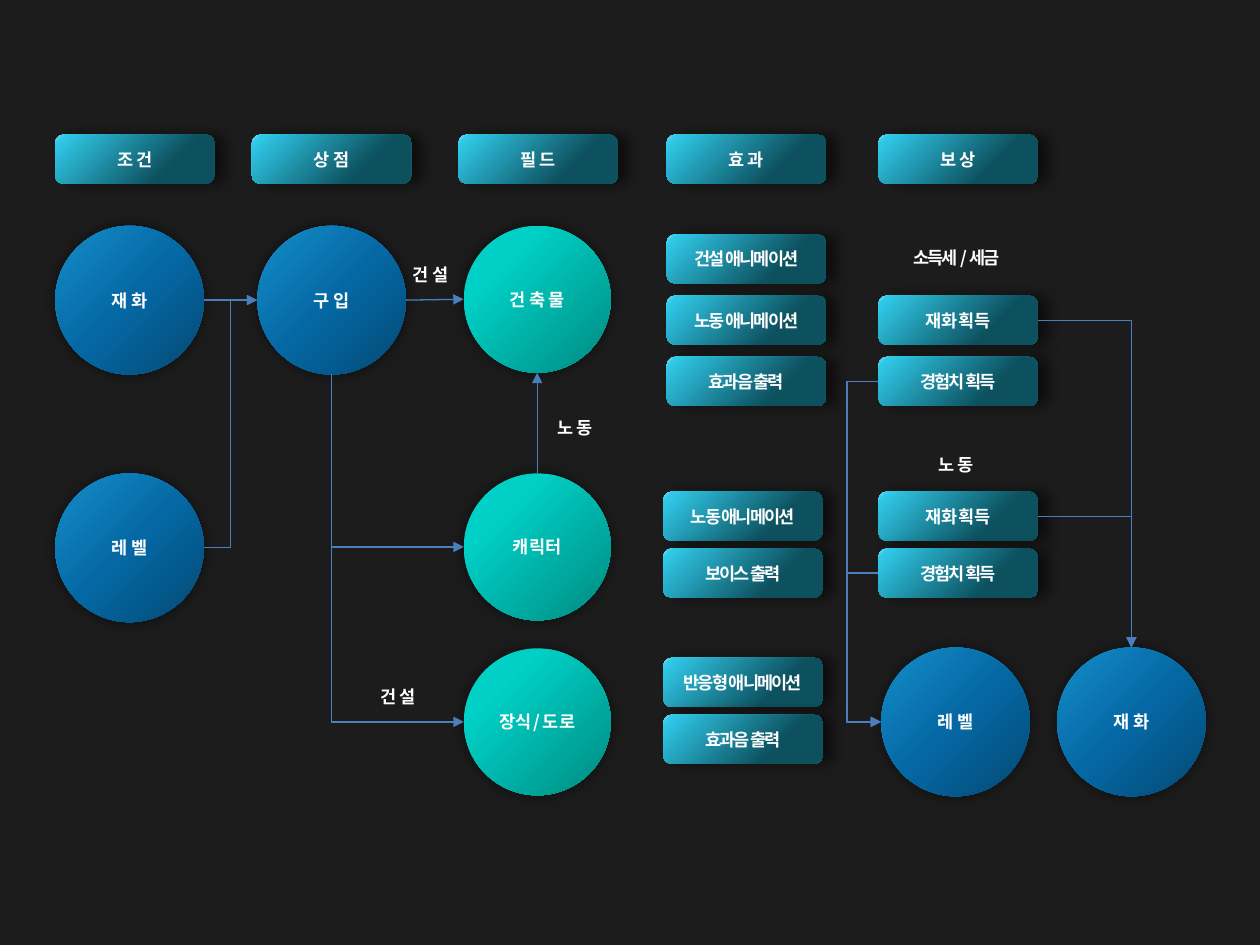
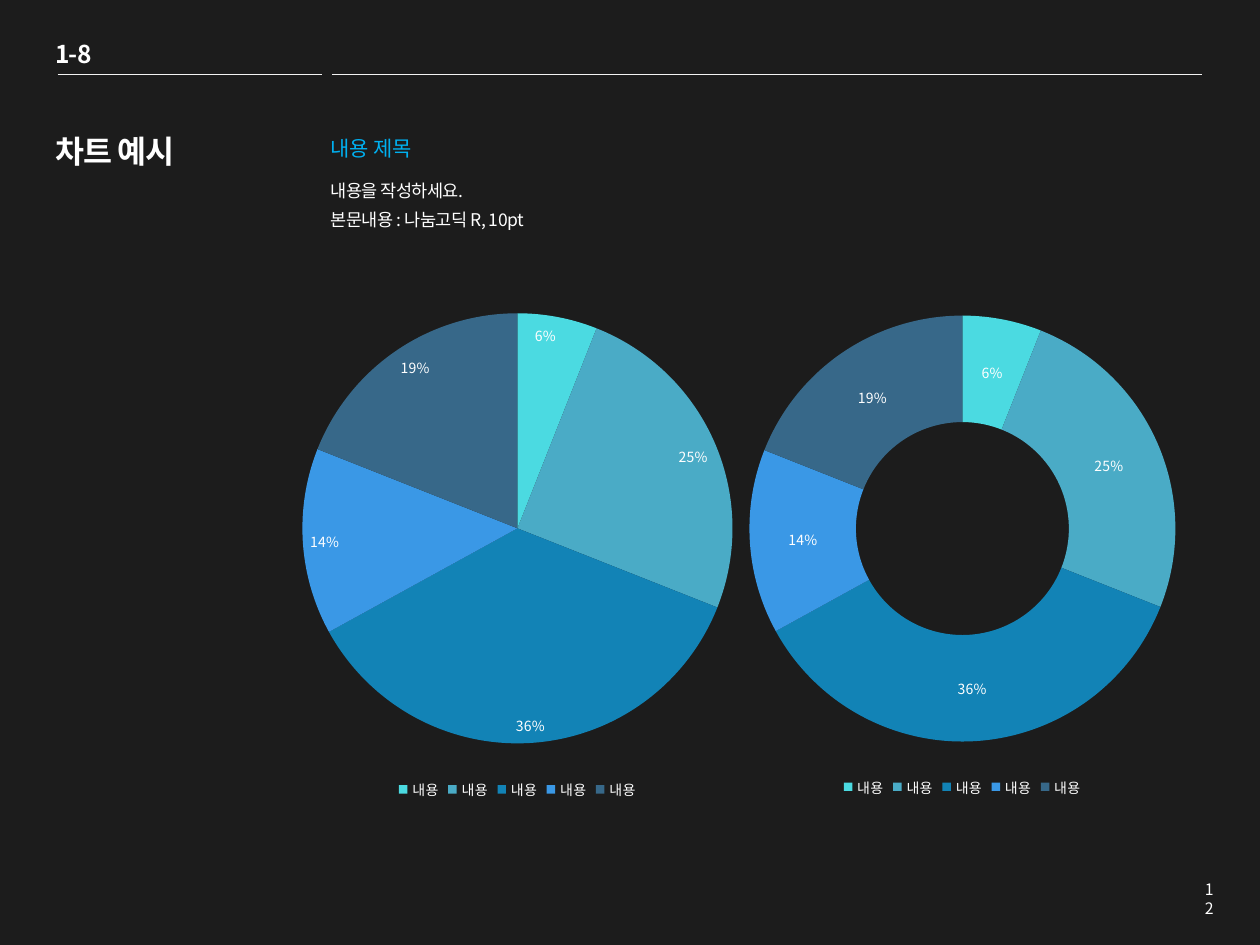
"""Builds a dark two-slide deck: a game economy flow and a pair of share charts."""
from lxml import etree
from pptx import Presentation
from pptx.chart import data as chart_data
from pptx.dml.color import RGBColor
from pptx.enum import chart as charts, shapes, text
from pptx.oxml import ns
from pptx.util import Pt

FONT = "Noto Sans CJK KR"
DARK = RGBColor(0x1C, 0x1C, 0x1C)
WHITE = RGBColor(0xFF, 0xFF, 0xFF)
RULE = RGBColor(0xF2, 0xF2, 0xF2)
ACCENT = RGBColor(0x00, 0xB0, 0xF0)
ARROW = RGBColor(0x4B, 0x7E, 0xBC)
BLACK = RGBColor(0x00, 0x00, 0x00)
SHARE_COLORS = [
    RGBColor(0x4B, 0xDA, 0xE1),
    RGBColor(0x4A, 0xAB, 0xC6),
    RGBColor(0x12, 0x83, 0xB6),
    RGBColor(0x3A, 0x98, 0xE6),
    RGBColor(0x37, 0x68, 0x89),
]
BLUE_STOPS = [
    (0, RGBColor(0x03, 0x49, 0x73)),
    (50, RGBColor(0x05, 0x68, 0xA4)),
    (100, RGBColor(0x14, 0x8D, 0xCA)),
]
GREEN_STOPS = [(0, RGBColor(0x00, 0x8A, 0x80)), (74, RGBColor(0x00, 0xD0, 0xC6))]
TAG_STOPS = [
    (1, RGBColor(0x78, 0xDC, 0xF0)),
    (5, RGBColor(0x30, 0xC9, 0xE8)),
    (70, RGBColor(0x0D, 0x51, 0x5F)),
]
TAG_WIDTH, TAG_HEIGHT = 91, 28
BLUE_SIZE, GREEN_SIZE = 85, 84
TIGHT, LOOSE = -1, -0.2
SIDES = ["top", "left", "bottom", "right"]
CENTER = text.PP_ALIGN.CENTER


def child(parent, tag, **attributes):
    element = etree.SubElement(parent, ns.qn(tag))
    for key, value in attributes.items():
        element.set(key, str(value))
    return element


class Deck:
    def __init__(self):
        self.deck = Presentation()
        self.deck.slide_width, self.deck.slide_height = Pt(720), Pt(540)
        self.slide = None

    def new_slide(self):
        self.slide = self.deck.slides.add_slide(self.deck.slide_layouts[6])
        self.slide.background.fill.solid()
        self.slide.background.fill.fore_color.rgb = DARK

    def style(self, font, size, color=WHITE, bold=False, spacing=0):
        font.size, font.bold, font.name = Pt(size), bold, FONT
        font.color.rgb = color
        child(font._rPr, "a:ea", typeface=FONT)
        if spacing:
            font._rPr.set("spc", str(round(spacing * 100)))

    def set_lines(self, frame, lines, size, align=None, line_spacing=None, **look):
        for index, line in enumerate(lines):
            paragraph = frame.add_paragraph() if index else frame.paragraphs[0]
            paragraph.text = line
            paragraph.alignment = align
            paragraph.line_spacing = line_spacing
            self.style(paragraph.font, size, **look)

    def text(self, x, y, width, height, *lines, size=10, wrap=True, **look):
        box = self.slide.shapes.add_textbox(Pt(x), Pt(y), Pt(width), Pt(height))
        box.text_frame.word_wrap = wrap
        self.set_lines(box.text_frame, lines, size, **look)

    def caption(self, center_x, center_y, label, spacing=LOOSE):
        self.text(center_x - 40, center_y - 9.5, 80, 19, label,
                  align=CENTER, bold=True, spacing=spacing)

    def node(self, kind, x, y, width, height, label, stops, spacing, shadow_gap):
        node = self.slide.shapes.add_shape(kind, Pt(x), Pt(y), Pt(width), Pt(height))
        node.line.fill.background()
        node.shadow.inherit = False
        properties = node.element.spPr
        shadow = child(properties.find(ns.qn("a:effectLst")), "a:outerShdw",
                       blurRad=Pt(8), dist=Pt(shadow_gap), dir=0,
                       algn="ctr", rotWithShape=0)
        child(child(shadow, "a:srgbClr", val=BLACK), "a:alpha", val=53000)
        gradient = etree.Element(ns.qn("a:gradFill"), rotWithShape="1")
        stop_list = child(gradient, "a:gsLst")
        for position, color in stops:
            child(child(stop_list, "a:gs", pos=position * 1000), "a:srgbClr", val=color)
        if kind == shapes.MSO_SHAPE.OVAL:
            child(child(gradient, "a:path", path="circle"),
                  "a:fillToRect", l=100000, t=100000)
        else:
            child(gradient, "a:lin", ang=45 * 60000, scaled=0)
        properties.find(ns.qn("a:prstGeom")).addnext(gradient)
        frame = node.text_frame
        frame.margin_left = frame.margin_right = frame.margin_top = frame.margin_bottom = 0
        frame.vertical_anchor = text.MSO_ANCHOR.MIDDLE
        self.set_lines(frame, [label], 10, CENTER, bold=True, spacing=spacing)
        return node

    def tag(self, x, y, label, spacing=TIGHT):
        return self.node(shapes.MSO_SHAPE.ROUNDED_RECTANGLE, x, y, TAG_WIDTH, TAG_HEIGHT,
                         label, TAG_STOPS, spacing, 6)

    def circle(self, x, y, size, label, stops=BLUE_STOPS, spacing=LOOSE):
        return self.node(shapes.MSO_SHAPE.OVAL, x, y, size, size, label, stops, spacing, 0)

    def line(self, begin, end, color, width, kind=shapes.MSO_CONNECTOR.STRAIGHT):
        line = self.slide.shapes.add_connector(kind, *begin, *end)
        line.line.color.rgb = color
        line.line.width = Pt(width)
        child(line.element.spPr, "a:effectLst")
        return line

    def site(self, node, side):
        across = {"left": 0, "right": node.width}.get(side, node.width // 2)
        down = {"top": 0, "bottom": node.height}.get(side, node.height // 2)
        step = 2 if node.auto_shape_type == shapes.MSO_SHAPE.OVAL else 1
        return (node.left + across, node.top + down), SIDES.index(side) * step

    def arrow(self, source, source_side, target, target_side, bend=None, offset=None):
        begin, begin_site = self.site(source, source_side)
        end, end_site = self.site(target, target_side)
        elbow, straight = shapes.MSO_CONNECTOR.ELBOW, shapes.MSO_CONNECTOR.STRAIGHT
        arrow = self.line(begin, end, ARROW, 0.75, elbow if bend else straight)
        properties = arrow.element.spPr
        child(properties.find(ns.qn("a:ln")), "a:tailEnd", type="triangle")
        links = arrow.element.find(".//" + ns.qn("p:cNvCxnSpPr"))
        child(links, "a:stCxn", id=source.shape_id, idx=begin_site)
        child(links, "a:endCxn", id=target.shape_id, idx=end_site)
        outline = properties.find(ns.qn("a:prstGeom"))
        if bend == "corner":
            outline.set("prst", "bentConnector2")
            if source_side == "bottom":
                width, height = arrow.width, arrow.height
                arrow.left += (width - height) // 2
                arrow.top += (height - width) // 2
                arrow.width, arrow.height = height, width
                arrow.rotation = 270
                properties.find(ns.qn("a:xfrm")).set("flipH", "1")
        if offset:
            share = round(Pt(offset) / arrow.width * 100000)
            child(outline.find(ns.qn("a:avLst")), "a:gd", name="adj1", fmla=f"val {share}")

    def chart(self, kind, x, y, width, height, categories, values, label_position=None):
        shares = chart_data.CategoryChartData()
        shares.categories = categories
        shares.add_series("Series 1", values)
        chart = self.slide.shapes.add_chart(
            kind, Pt(x), Pt(y), Pt(width), Pt(height), shares).chart
        chart.has_title = False
        self.style(chart.font, 18, BLACK)
        chart.has_legend = True
        chart.legend.position = charts.XL_LEGEND_POSITION.BOTTOM
        chart.legend.include_in_layout = False
        self.style(chart.legend.font, 8)
        plot = chart.plots[0]
        plot.vary_by_categories = True
        plot.has_data_labels = True
        labels = plot.data_labels
        labels.show_percentage, labels.show_value = True, False
        labels.number_format, labels.number_format_is_linked = "0%", False
        self.style(labels.font, 8)
        if label_position is not None:
            labels.position = label_position
        for index, color in enumerate(SHARE_COLORS):
            fill = plot.series[0].points[index].format.fill
            fill.solid()
            fill.fore_color.rgb = color
        area = chart.element.find(".//" + ns.qn("c:plotArea"))
        layout = area.find(ns.qn("c:layout"))
        if layout is None:
            layout = etree.Element(ns.qn("c:layout"))
            area.insert(0, layout)
        manual = child(layout, "c:manualLayout")
        for name, value in [("layoutTarget", "inner"), ("xMode", "edge"), ("yMode", "edge"),
                            ("x", 0.16), ("y", 0.03), ("w", 0.68), ("h", 0.85)]:
            child(manual, "c:" + name, val=value)


def build_flow(deck):
    deck.new_slide()
    headings = [(31.5, "조 건"), (144, "상 점"), (262, "필 드"), (381, "효 과"), (502, "보 상")]
    for x, heading in headings:
        deck.tag(x, 77, heading, LOOSE)

    money = deck.circle(31.5, 129, BLUE_SIZE, "재 화")
    level = deck.circle(31.5, 270.5, BLUE_SIZE, "레 벨")
    purchase = deck.circle(147, 129, BLUE_SIZE, "구 입")
    building = deck.circle(265, 129, GREEN_SIZE, "건 축 물", GREEN_STOPS)
    character = deck.circle(265, 270.5, GREEN_SIZE, "캐 릭 터", GREEN_STOPS, TIGHT)
    decoration = deck.circle(265, 370.5, GREEN_SIZE, "장 식 / 도 로", GREEN_STOPS, TIGHT)
    level_gain = deck.circle(503.5, 370, BLUE_SIZE, "레 벨")
    money_gain = deck.circle(604, 370, BLUE_SIZE, "재 화")

    effects = [
        (381, 134, 35, ["건설 애니메이션", "노동 애니메이션", "효과음 출력"]),
        (379, 281, 32.5, ["노동 애니메이션", "보이스 출력"]),
        (379, 376, 32.5, ["반응형 애니메이션", "효과음 출력"]),
    ]
    for x, top, pitch, names in effects:
        for row, name in enumerate(names):
            deck.tag(x, top + row * pitch, name)

    for top, pitch in [(169, 35), (281, 32.5)]:
        earned_money = deck.tag(502, top, "재 화 획 득")
        earned_points = deck.tag(502, top + pitch, "경험치 획득")
        deck.arrow(earned_money, "right", money_gain, "top", "corner")
        deck.arrow(earned_points, "left", level_gain, "left", "middle", offset=-18)

    deck.arrow(money, "right", purchase, "left")
    deck.arrow(level, "right", purchase, "left", "middle")
    deck.arrow(purchase, "right", building, "left")
    deck.arrow(character, "top", building, "bottom")
    for product in (character, decoration):
        deck.arrow(purchase, "bottom", product, "left", "corner")

    deck.caption(246, 157, "건 설")
    deck.caption(328.5, 244.5, "노 동")
    deck.caption(227.5, 398, "건 설")
    deck.caption(546.5, 147, "소득세 / 세금", TIGHT)
    deck.caption(546.5, 265.5, "노 동")


def build_charts(deck):
    deck.new_slide()
    categories, values = ["내용"] * 5, [6, 25, 36, 14, 19]
    deck.chart(charts.XL_CHART_TYPE.PIE, 115, 170, 361.5, 290, categories, values,
               charts.XL_LABEL_POSITION.INSIDE_END)
    deck.chart(charts.XL_CHART_TYPE.DOUGHNUT, 371, 171.5, 358, 287, categories, values)
    deck.text(24.5, 19, 35, 24, "1-8", size=14, wrap=False, bold=True, spacing=-0.5)
    for start, stop in [(33, 184), (190, 687)]:
        deck.line((Pt(start), Pt(42.5)), (Pt(stop), Pt(42.5)), RULE, 0.25)
    deck.text(24.5, 72, 142, 116, "차트 예시", size=18, bold=True, spacing=-0.5)
    deck.text(182, 74, 383, 22, "내용 제목", size=12, color=ACCENT, spacing=-0.2)
    deck.text(182, 94.5, 440, 41, "내용을 작성하세요.", "본문내용 : 나눔고딕 R, 10pt",
              line_spacing=1.4, spacing=-0.3)
    deck.text(680.5, 499, 20, 18, "12", size=9, align=text.PP_ALIGN.RIGHT)


flow_deck = Deck()
build_flow(flow_deck)
build_charts(flow_deck)
flow_deck.deck.save("out.pptx")
